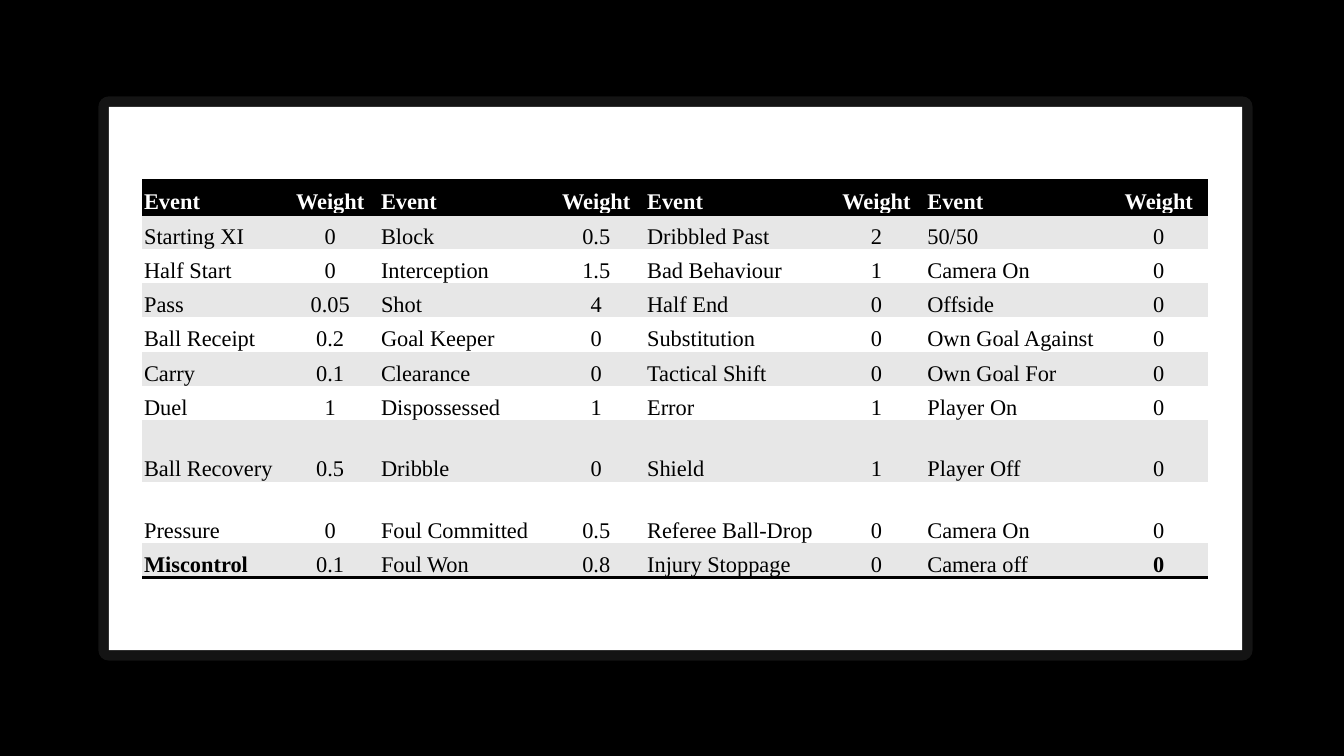
from dataclasses import dataclass

from lxml import etree
from pptx import Presentation
from pptx.dml.color import RGBColor
from pptx.enum.shapes import MSO_SHAPE
from pptx.enum.text import MSO_ANCHOR, PP_ALIGN
from pptx.oxml.ns import qn
from pptx.util import Inches, Pt

RECTANGLE = MSO_SHAPE.RECTANGLE
BOTTOM = MSO_ANCHOR.BOTTOM
LEFT, CENTER = PP_ALIGN.LEFT, PP_ALIGN.CENTER

# Content: each row holds four event and weight pairs
HEADER = ("Event", "Weight") * 4
EVENTS = [
    ("Starting XI", "0", "Block", "0.5", "Dribbled Past", "2", "50/50", "0"),
    ("Half Start", "0", "Interception", "1.5", "Bad Behaviour", "1", "Camera On", "0"),
    ("Pass", "0.05", "Shot", "4", "Half End", "0", "Offside", "0"),
    ("Ball Receipt", "0.2", "Goal Keeper", "0", "Substitution", "0", "Own Goal Against", "0"),
    ("Carry", "0.1", "Clearance", "0", "Tactical Shift", "0", "Own Goal For", "0"),
    ("Duel", "1", "Dispossessed", "1", "Error", "1", "Player On", "0"),
    ("Ball Recovery", "0.5", "Dribble", "0", "Shield", "1", "Player Off", "0"),
    ("Pressure", "0", "Foul Committed", "0.5", "Referee Ball-Drop", "0", "Camera On", "0"),
    ("Miscontrol", "0.1", "Foul Won", "0.8", "Injury Stoppage", "0", "Camera off", "0"),
]
ROWS = [HEADER, *EVENTS]
LAST_ROW, LAST_COLUMN = len(ROWS) - 1, len(HEADER) - 1
BOLD_CELLS = {(LAST_ROW, 0), (LAST_ROW, LAST_COLUMN)}

# Layout in inches
SLIDE_SIZE = (13.33, 7.5)
PANEL = (1.08, 1.06, 11.24, 5.39)
TABLE_CORNER = (1.41, 1.79)
EVENT_WIDTHS = (1.38, 1.67, 1.81, 1.83)
WEIGHT_WIDTH = 0.97
ROW_HEIGHT, TALL_HEIGHT = 0.34, 0.61
TALL_ROWS = (7, 8)
CELL_INSET = 0.02
PLAIN_TABLE_STYLE = "{2D5ABB26-0587-4C30-8999-92F81FD0307C}"


@dataclass(frozen=True)
class Theme:
    black: RGBColor = RGBColor.from_string("000000")
    white: RGBColor = RGBColor.from_string("FFFFFF")
    band: RGBColor = RGBColor.from_string("E7E7E7")
    font: str = "Times New Roman"
    text_size: int = 16
    rule_width: int = 2
    frame_width: int = 15
    frame_opacity: int = 7


THEME = Theme()


def add_panel(page):
    panel = page.shapes.add_shape(RECTANGLE, *map(Inches, PANEL))
    panel.shadow.inherit = False
    panel.fill.solid()
    panel.fill.fore_color.rgb = THEME.white
    panel.line.color.rgb = THEME.white
    panel.line.width = Pt(THEME.frame_width)
    outline = panel.line._get_or_add_ln()
    color = outline.find(".//" + qn("a:srgbClr"))
    etree.SubElement(color, qn("a:alpha"), val=str(THEME.frame_opacity * 1000))
    etree.SubElement(outline, qn("a:round"))


def add_rules(cell, sides):
    """Draw horizontal rules; borders come before the fill in a cell."""
    properties = cell._tc.get_or_add_tcPr()
    for position, side in enumerate(sides):
        rule = etree.Element(qn(f"a:ln{side}"), w=str(Pt(THEME.rule_width)))
        fill = etree.SubElement(rule, qn("a:solidFill"))
        etree.SubElement(fill, qn("a:srgbClr"), val=str(THEME.black))
        properties.insert(position, rule)


def fill_cell(cell, text, row, column):
    is_header = row == 0
    cell.vertical_anchor = BOTTOM
    cell.margin_left = cell.margin_right = cell.margin_top = Inches(CELL_INSET)
    cell.margin_bottom = 0
    cell.fill.solid()
    stripe = THEME.band if row % 2 else THEME.white
    cell.fill.fore_color.rgb = THEME.black if is_header else stripe

    cell.text_frame.text = text
    para = cell.text_frame.paragraphs[0]
    para.alignment = CENTER if column % 2 else LEFT
    font = para.runs[0].font
    font.name = THEME.font
    font.size = Pt(THEME.text_size)
    font.bold = is_header or (row, column) in BOLD_CELLS
    font.color.rgb = THEME.white if is_header else THEME.black

    if is_header:
        add_rules(cell, "TB")
    elif row == LAST_ROW:
        add_rules(cell, "B")


def add_weight_table(page):
    widths = [width for event in EVENT_WIDTHS for width in (event, WEIGHT_WIDTH)]
    heights = [TALL_HEIGHT if row in TALL_ROWS else ROW_HEIGHT
               for row in range(len(ROWS))]
    bounds = map(Inches, (*TABLE_CORNER, sum(widths), sum(heights)))
    table = page.shapes.add_table(len(ROWS), len(HEADER), *bounds).table
    table.first_row = table.horz_banding = False
    table._tbl.tblPr.find(qn("a:tableStyleId")).text = PLAIN_TABLE_STYLE

    for column, width in zip(table.columns, widths):
        column.width = Inches(width)
    for row, height in zip(table.rows, heights):
        row.height = Inches(height)
    for row, texts in enumerate(ROWS):
        for column, text in enumerate(texts):
            fill_cell(table.cell(row, column), text, row, column)


def main():
    deck = Presentation()
    deck.slide_width, deck.slide_height = map(Inches, SLIDE_SIZE)
    page = deck.slides.add_slide(deck.slide_layouts[6])
    page.background.fill.solid()
    page.background.fill.fore_color.rgb = THEME.black
    add_panel(page)
    add_weight_table(page)
    deck.save("out.pptx")


if __name__ == "__main__":
    main()
